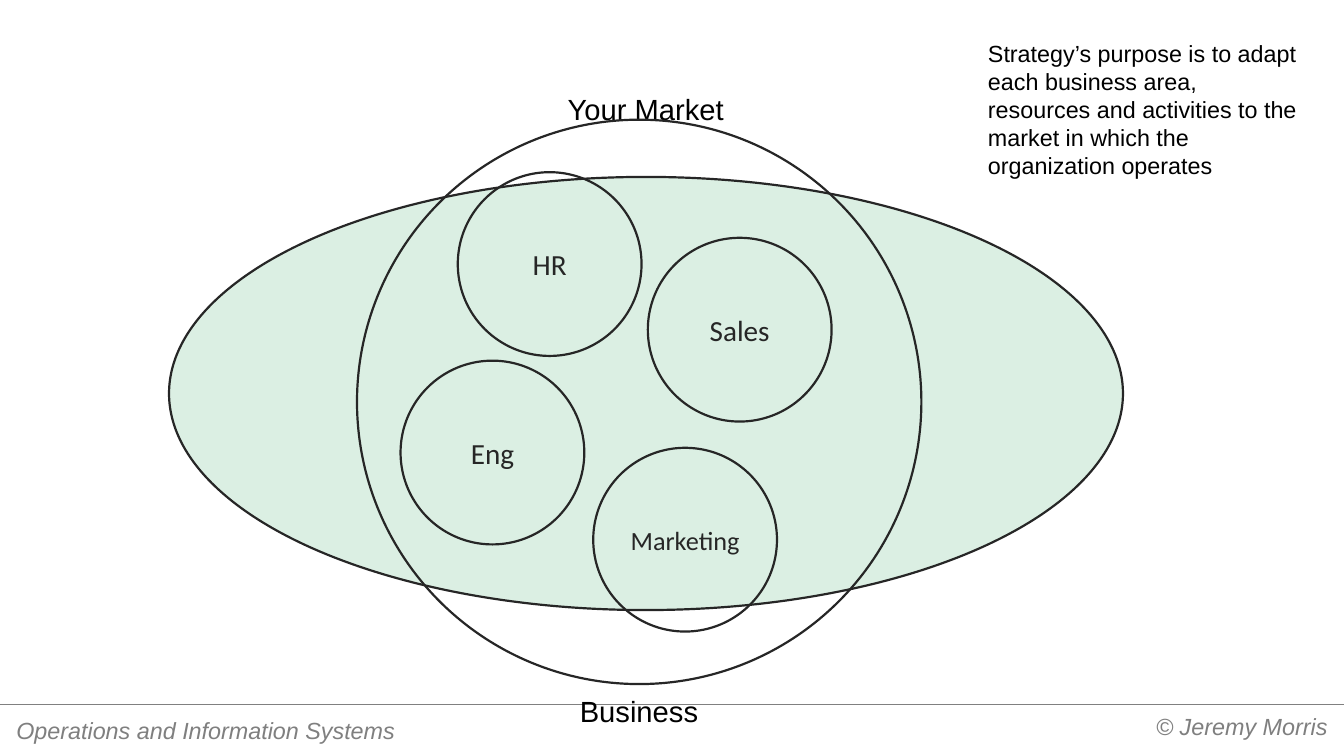
from lxml import etree
from pptx import Presentation
from pptx import util as u
from pptx.dml import color as dml
from pptx.enum import shapes, text
from pptx.oxml import ns

COLOURS = {"ink": "262626", "black": "000000", "grey": "7F7F7F",
           "rule": "808080", "green": "109648"}
LABEL = {"name": "Arial", "size": u.Pt(40)}
NOTE = {"name": "Arial", "size": u.Pt(32)}
FOOTER = {"name": "Arial", "size": u.Pt(32), "italic": True}
FOOTER_MARGINS = {"margin_left": u.Inches(0.18), "margin_right": u.Inches(0.18),
                  "margin_top": u.Inches(0.09), "margin_bottom": u.Inches(0.09)}
AREAS = [("HR", 5.5, -0.09, 40), ("Eng", 4.41, 3.5, 40),
         ("Sales", 9.12, 1.16, 40), ("Marketing", 8.08, 5.16, 36)]


def set_values(target, values):
    """Set each named attribute of the target."""
    for name, value in values.items():
        setattr(target, name, value)


def rgb(name):
    """Return a colour from the palette."""
    return dml.RGBColor.from_string(COLOURS[name])


def write(shape, words, font, colour, align, frame_format):
    """Put one formatted paragraph in a shape."""
    set_values(shape.text_frame, {"word_wrap": True, **frame_format})
    paragraph = shape.text_frame.paragraphs[0]
    paragraph.alignment = align
    run = paragraph.add_run()
    run.text = words
    set_values(run.font, font)
    run.font.color.rgb = rgb(colour)


def add_text(slide, box, words, font, colour="black",
             align=text.PP_ALIGN.LEFT, frame_format={}):
    """Add a text box."""
    shape = slide.shapes.add_textbox(*map(u.Inches, box))
    write(shape, words, font, colour, align, frame_format)


def add_ellipse(slide, box):
    """Add an unfilled, outlined ellipse."""
    shape = slide.shapes.add_shape(shapes.MSO_SHAPE.OVAL, *map(u.Inches, box))
    shape.shadow.inherit = False
    shape.fill.background()
    shape.line.color.rgb = rgb("ink")
    shape.line.width = u.Pt(3)
    return shape


def add_footer(slide, box):
    """Draw the rule with the course name and the credit below it."""
    left, top, width, height = box
    ends = (left, top, left + width, top)
    rule = slide.shapes.add_connector(shapes.MSO_CONNECTOR.STRAIGHT, *map(u.Inches, ends))
    rule.line.color.rgb = rgb("rule")
    rule.line.width = u.Pt(0.75)
    etree.SubElement(rule._element.spPr, ns.qn("a:effectLst"))
    add_text(slide, (left + width - 11.02, top + 0.07, 10.89, height - 0.27),
             "© Jeremy Morris", FOOTER, "grey", text.PP_ALIGN.RIGHT, FOOTER_MARGINS)
    add_text(slide, (left + 0.13, top + 0.15, 8.75, height - 0.27),
             "Operations and Information Systems", FOOTER, "grey",
             frame_format=FOOTER_MARGINS)


def add_market_diagram(slide, box):
    """Draw the market ellipse, the business circle and its areas."""
    left, top, width, height = box
    market = add_ellipse(slide, box)
    market.fill.solid()
    market.fill.fore_color.rgb = rgb("green")
    green = market._element.spPr.find(ns.qn("a:solidFill"))[0]
    etree.SubElement(green, ns.qn("a:alpha"), val="15000")
    add_text(slide, (left + 6.54, top - 1.67, 5.08, 0.77), "Your Market", LABEL,
             align=text.PP_ALIGN.CENTER)
    add_ellipse(slide, (left + 3.58, top - 1.09, 10.75, 10.75))
    for name, across, down, size in AREAS:
        circle = add_ellipse(slide, (left + across, top + down, 3.5, 3.5))
        write(circle, name, {"name": "Calibri", "size": u.Pt(size)}, "ink",
              text.PP_ALIGN.CENTER, {"vertical_anchor": text.MSO_ANCHOR.MIDDLE})
    add_text(slide, (left + 6.65, top + height + 1.53, 4.6, 0.77), "Business", LABEL,
             align=text.PP_ALIGN.CENTER)


def main():
    """Build and save the presentation."""
    presentation = Presentation()
    set_values(presentation, {"slide_width": u.Inches(25.6), "slide_height": u.Inches(14.4)})
    slide = presentation.slides.add_slide(presentation.slide_layouts[6])
    add_footer(slide, (0, 13.41, 25.6, 0.99))
    add_market_diagram(slide, (3.22, 3.37, 18.17, 8.25))
    add_text(slide, (18.72, 0.69, 6.25, 2.79),
             "Strategy’s purpose is to adapt each business area, resources and "
             "activities to the market in which the organization operates", NOTE)
    presentation.save("out.pptx")


if __name__ == "__main__":
    main()
